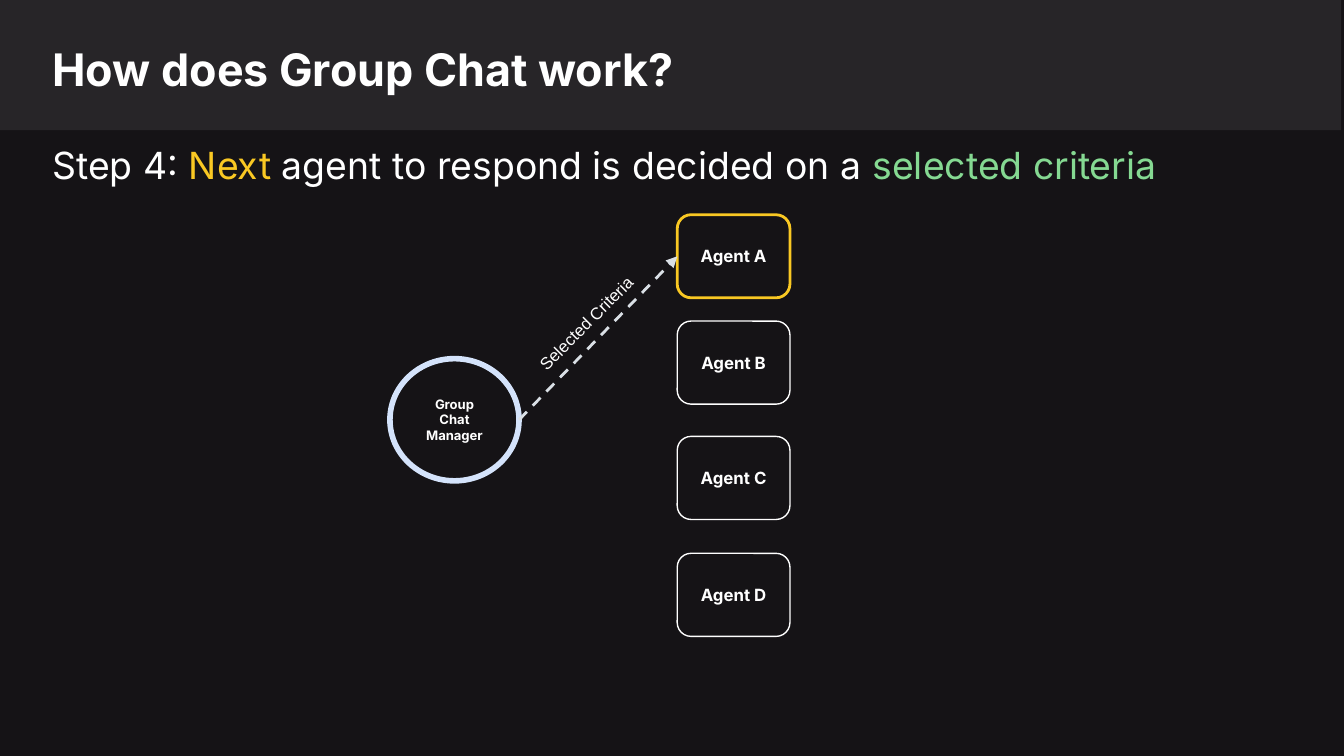
from dataclasses import dataclass

from lxml.etree import SubElement
from pptx import Presentation
from pptx.dml.color import RGBColor
from pptx.enum.dml import MSO_LINE
from pptx.enum.shapes import MSO_CONNECTOR, MSO_SHAPE
from pptx.enum.text import MSO_ANCHOR, MSO_AUTO_SIZE, PP_ALIGN
from pptx.oxml.ns import qn
from pptx.shapes.autoshape import Shape
from pptx.slide import Slide
from pptx.text.text import TextFrame
from pptx.util import Cm, Pt


@dataclass(frozen=True)
class Theme:
    background: str = "151316"
    band: str = "272528"
    text: str = "FFFFFF"
    next_agent: str = "F9C823"
    criteria: str = "85D992"
    manager: str = "D4E3FB"
    arrow: str = "DAE0E6"
    font: str = "Inter"
    label_font: str = "Arial"
    title_size: float = 24
    step_size: float = 20
    agent_size: float = 9
    manager_size: float = 7
    inset: float = 0.25


THEME = Theme()


@dataclass(frozen=True)
class Area:
    left: float
    top: float
    width: float
    height: float

    def lengths(self) -> tuple[Cm, Cm, Cm, Cm]:
        return Cm(self.left), Cm(self.top), Cm(self.width), Cm(self.height)


@dataclass(frozen=True)
class Span:
    text: str
    size: float
    color: str
    bold: bool = False
    font: str = THEME.font


@dataclass(frozen=True)
class Node:
    kind: MSO_SHAPE
    area: Area
    label: Span
    line_color: str
    line_width: float


AGENT_LEFT, AGENT_WIDTH, AGENT_HEIGHT = 12.8, 2.13, 1.57
AGENT_TOPS = {"A": 4.06, "B": 6.07, "C": 8.25, "D": 10.46}
NEXT_AGENT = "A"

MANAGER = Node(
    MSO_SHAPE.OVAL,
    Area(7.37, 6.78, 2.44, 2.31),
    Span("Group Chat Manager", THEME.manager_size, THEME.text, bold=True),
    THEME.manager,
    3,
)


def agent_node(name: str, top: float) -> Node:
    chosen = name == NEXT_AGENT
    return Node(
        MSO_SHAPE.ROUNDED_RECTANGLE,
        Area(AGENT_LEFT, top, AGENT_WIDTH, AGENT_HEIGHT),
        Span(f"Agent {name}", THEME.agent_size, THEME.text, bold=True),
        THEME.next_agent if chosen else THEME.text,
        1.5 if chosen else 0.75,
    )


def write_spans(
    frame: TextFrame,
    spans: list[Span],
    align: PP_ALIGN = PP_ALIGN.LEFT,
    anchor: MSO_ANCHOR = MSO_ANCHOR.TOP,
) -> None:
    frame.word_wrap = True
    frame.auto_size = MSO_AUTO_SIZE.NONE
    frame.vertical_anchor = anchor
    frame.margin_left = frame.margin_right = Cm(THEME.inset)
    frame.margin_top = frame.margin_bottom = Cm(THEME.inset)
    para = frame.paragraphs[0]
    para.alignment = align
    for span in spans:
        run = para.add_run()
        run.text = span.text
        run.font.name = span.font
        run.font.size = Pt(span.size)
        run.font.bold = span.bold
        run.font.color.rgb = RGBColor.from_string(span.color)


def add_title(page: Slide, text: str) -> None:
    title = page.shapes.title
    title.left, title.top, title.width, title.height = Area(0.74, 0.53, 22.2, 1.47).lengths()
    write_spans(title.text_frame, [Span(text, THEME.title_size, THEME.text, bold=True)])

    band = page.shapes.add_shape(MSO_SHAPE.RECTANGLE, *Area(0, -0.03, 25.35, 2.49).lengths())
    band.shadow.inherit = False
    band.fill.solid()
    band.fill.fore_color.rgb = RGBColor.from_string(THEME.band)
    band.line.fill.background()
    title.element.addprevious(band.element)


def add_text(page: Slide, area: Area, spans: list[Span], align: PP_ALIGN = PP_ALIGN.LEFT) -> Shape:
    box = page.shapes.add_textbox(*area.lengths())
    write_spans(box.text_frame, spans, align)
    return box


def add_node(page: Slide, node: Node) -> None:
    shape = page.shapes.add_shape(node.kind, *node.area.lengths())
    shape.shadow.inherit = False
    shape.fill.background()
    shape.line.color.rgb = RGBColor.from_string(node.line_color)
    shape.line.width = Pt(node.line_width)
    write_spans(shape.text_frame, [node.label], PP_ALIGN.CENTER, MSO_ANCHOR.MIDDLE)


def add_arrow(page: Slide, source: Area, target: Area) -> None:
    arrow = page.shapes.add_connector(
        MSO_CONNECTOR.STRAIGHT,
        Cm(source.left + source.width),
        Cm(source.top + source.height / 2),
        Cm(target.left),
        Cm(target.top + target.height / 2),
    )
    arrow.line.color.rgb = RGBColor.from_string(THEME.arrow)
    arrow.line.width = Pt(1.5)
    arrow.line.dash_style = MSO_LINE.DASH
    properties = arrow.element.spPr
    SubElement(properties.find(qn("a:ln")), qn("a:tailEnd"), type="triangle")
    SubElement(properties, qn("a:effectLst"))


def main() -> None:
    deck = Presentation()
    deck.slide_width, deck.slide_height = Cm(25.4), Cm(14.29)
    page = deck.slides.add_slide(deck.slide_layouts.get_by_name("Title Only"))
    page.background.fill.solid()
    page.background.fill.fore_color.rgb = RGBColor.from_string(THEME.background)

    add_title(page, "How does Group Chat work?")
    agents = {name: agent_node(name, top) for name, top in AGENT_TOPS.items()}
    for node in (MANAGER, *agents.values()):
        add_node(page, node)

    step = [
        Span("Step 4: ", THEME.step_size, THEME.text),
        Span("Next", THEME.step_size, THEME.next_agent),
        Span(" agent to respond is decided on a ", THEME.step_size, THEME.text),
        Span("selected criteria", THEME.step_size, THEME.criteria),
    ]
    add_text(page, Area(0.74, 2.44, 23.88, 1.47), step)

    add_arrow(page, MANAGER.area, agents[NEXT_AGENT].area)
    criteria = Span("Selected Criteria", THEME.agent_size, THEME.text, font=THEME.label_font)
    label = add_text(page, Area(9.3, 5.64, 3.66, 1.04), [criteria], PP_ALIGN.CENTER)
    label.rotation = 315

    deck.save("out.pptx")


if __name__ == "__main__":
    main()
